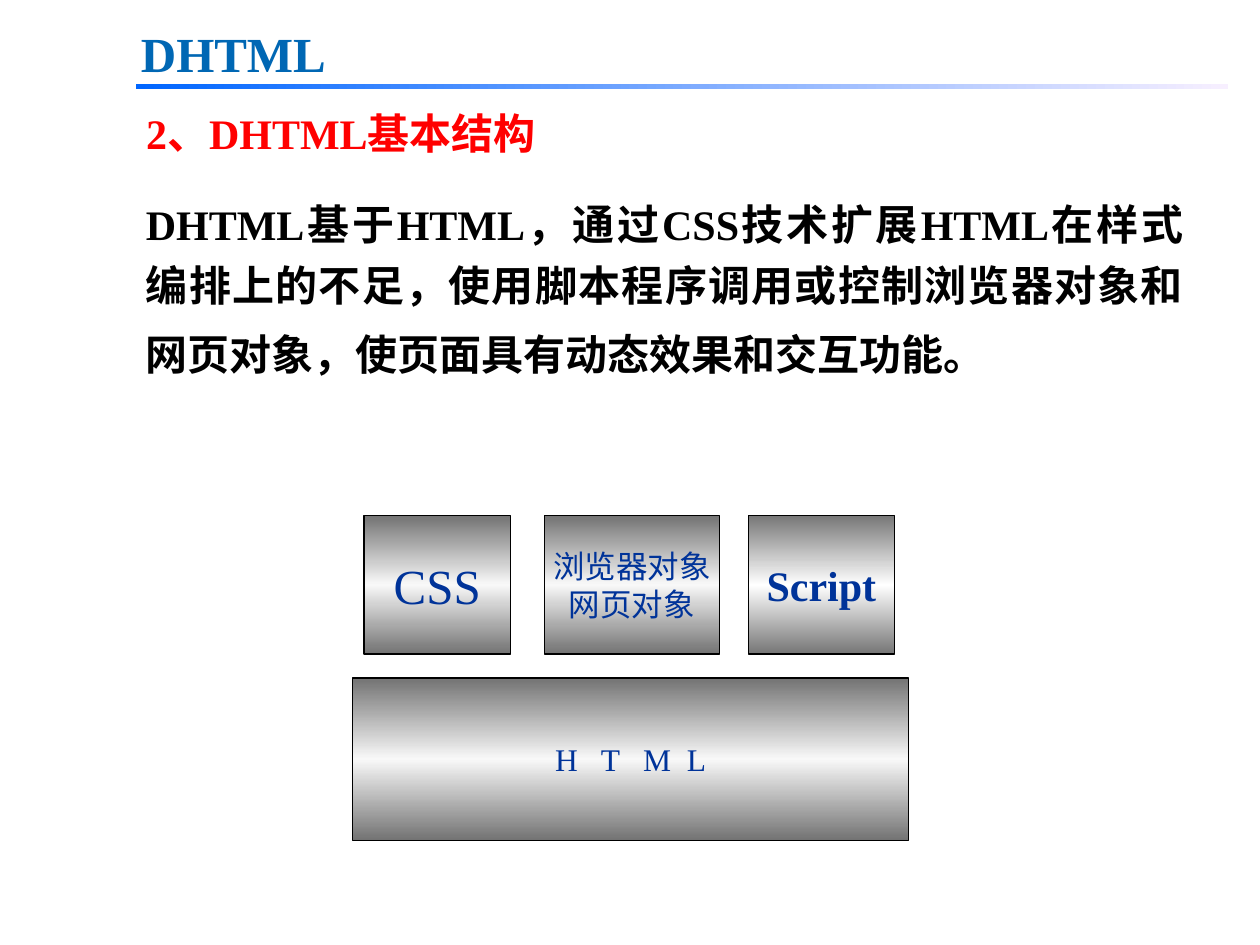
from lxml import etree
from pptx import Presentation
from pptx.dml.color import RGBColor
from pptx.enum.shapes import MSO_SHAPE
from pptx.enum.text import MSO_ANCHOR, MSO_AUTO_SIZE, PP_ALIGN
from pptx.oxml.ns import qn
from pptx.util import Inches, Pt

RECT = MSO_SHAPE.RECTANGLE
MIDDLE = MSO_ANCHOR.MIDDLE
FIXED = MSO_AUTO_SIZE.NONE
GROW = MSO_AUTO_SIZE.SHAPE_TO_FIT_TEXT
LEFT, CENTER, JUSTIFY = PP_ALIGN.LEFT, PP_ALIGN.CENTER, PP_ALIGN.JUSTIFY
LATIN, HAN = "Times New Roman", "Noto Sans CJK SC"
NAVY, BLACK = "003399", "000000"
STEEL = ("737373", "F8F8F8", "737373")
BRIGHT = ("767676", "FFFFFF", "767676")


def color(code):
    return RGBColor.from_string(code)


class Board:
    def __init__(self, slide):
        self.slide = slide
        self.group = None

    def run(self, para, text, size, tint, bold=False, font=LATIN, gap=0):
        run = para.add_run()
        run.text = text
        run.font.size = Pt(size)
        run.font.name = font
        run.font.bold = bold
        run.font.color.rgb = color(tint)
        props = run.font._element
        props.find(qn("a:latin")).addnext(
            etree.Element(qn("a:ea"), typeface=HAN))
        if gap:
            props.set("spc", str(int(gap * 100)))

    def shade(self, shape, tints, angle):
        shape.fill.gradient()
        shape.fill.gradient_angle = angle
        stops = shape._element.spPr.find(".//" + qn("a:gsLst"))
        for stop in list(stops):
            stops.remove(stop)
        for i, tint in enumerate(tints):
            place = str(100000 * i // (len(tints) - 1))
            stop = etree.SubElement(stops, qn("a:gs"), pos=place)
            etree.SubElement(stop, qn("a:srgbClr"), val=tint)

    def title(self, spot, text):
        title = self.slide.shapes.title
        title.left, title.top, title.width, title.height = map(Inches, spot)
        frame = title.text_frame
        frame.auto_size = FIXED
        frame.vertical_anchor = MIDDLE
        para = frame.paragraphs[0]
        para.alignment = LEFT
        self.run(para, text, 24, "FF0000", True)

    def text(self, spot, spacing=1.0):
        box = self.slide.shapes.add_textbox(*map(Inches, spot))
        frame = box.text_frame
        frame.word_wrap = True
        frame.auto_size = GROW
        para = frame.paragraphs[0]
        para.alignment = JUSTIFY
        para.line_spacing = spacing
        return para

    def bar(self, spot, tints):
        bar = self.slide.shapes.add_shape(RECT, *map(Inches, spot))
        bar.shadow.inherit = False
        self.shade(bar, tints, 0)
        bar.line.fill.background()

    def block(self, spot, lines, size, bold=False, tints=STEEL):
        if self.group is None:
            self.group = self.slide.shapes.add_group_shape()
        block = self.group.shapes.add_shape(RECT, *map(Inches, spot))
        block.shadow.inherit = False
        self.shade(block, tints, 90)
        block.line.color.rgb = color(BLACK)
        block.line.width = Pt(0.75)
        frame = block.text_frame
        frame.word_wrap = False
        frame.vertical_anchor = MIDDLE
        for i, line in enumerate(lines):
            para = frame.add_paragraph() if i else frame.paragraphs[0]
            para.alignment = CENTER
            for text, gap in line:
                self.run(para, text, size, NAVY, bold, gap=gap)


def main():
    deck = Presentation()
    deck.slide_width, deck.slide_height = Inches(10), Inches(7.5)
    board = Board(deck.slides.add_slide(deck.slide_layouts[5]))

    board.bar((1.08, 0.67, 8.67, 0.04), ("0066FF", "F7EFFF"))
    head = board.text((1.02, 0.14, 5.09, 0.57))
    board.run(head, "DHTML", 28, "0067B4", True)
    board.title((1.06, 0.8, 5.68, 0.5), "2、DHTML基本结构")

    body = board.text((1.06, 1.45, 8.43, 1.62), 1.2)
    board.run(body, "DHTML基于HTML，通过CSS技术扩展HTML在样式编排上的不足，"
              "使用脚本程序调用或控制浏览器对象和网页对象，"
              "使页面具有动态效果和交互功能。", 24, BLACK, True)
    board.run(body, " ", 28, "FF9900", font=HAN)

    top, high = 4.09, 1.1
    board.block((2.8, 5.38, 4.41, 1.29), [[("H T M", 4.5), (" L", 0)]], 18)
    board.block((4.32, top, 1.39, high),
                [[("浏览器对象", 0)], [("网页对象", 0)]], 18)
    board.block((5.94, top, 1.16, high), [[("Script", 0)]], 24, True, BRIGHT)
    board.block((2.89, top, 1.16, high), [[("CSS", 0)]], 28)

    deck.save("out.pptx")


if __name__ == "__main__":
    main()
